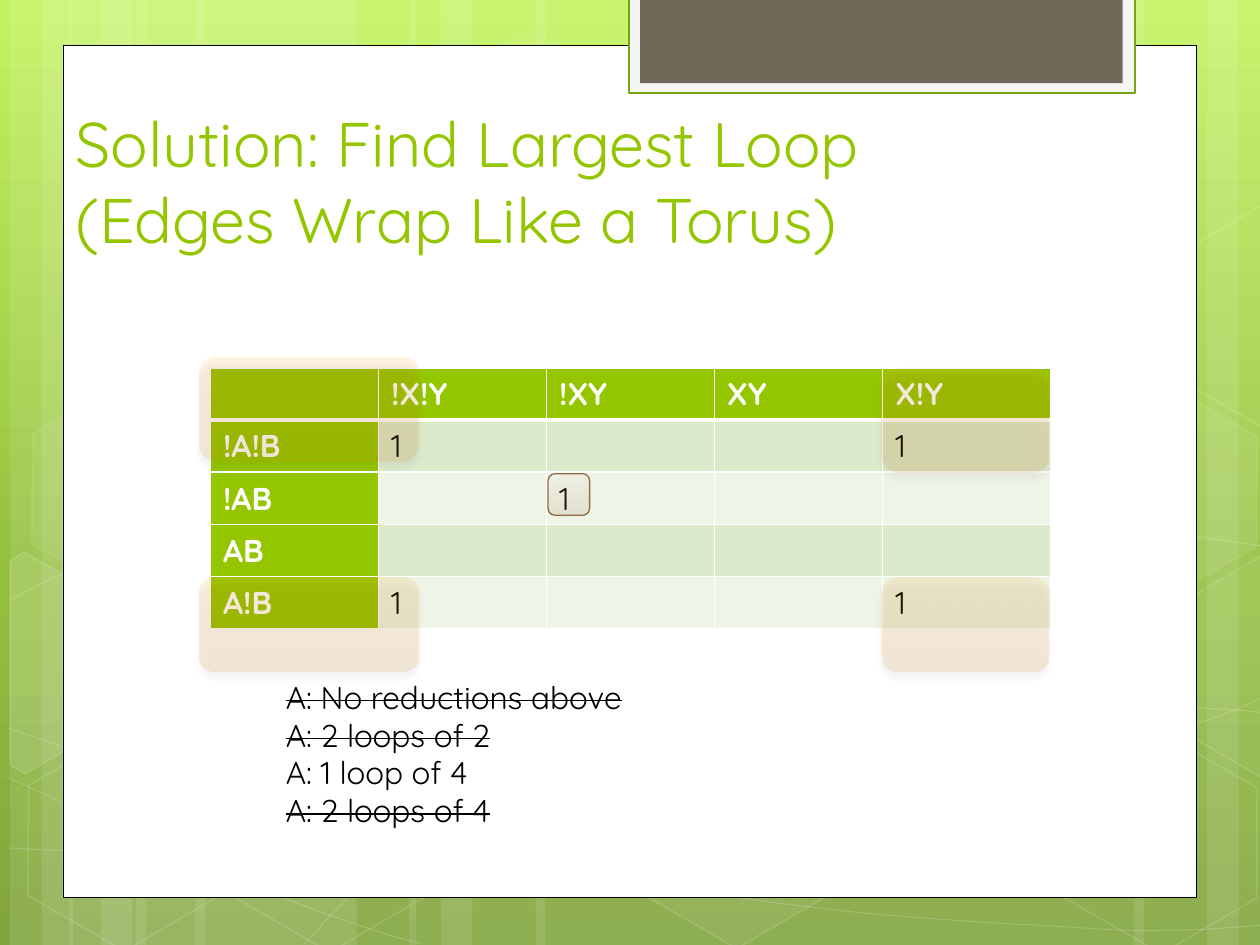
from math import cos, radians, sin

from lxml import etree
from pptx import Presentation
from pptx.dml.color import RGBColor
from pptx.enum.shapes import MSO_SHAPE
from pptx.enum.text import MSO_ANCHOR, MSO_AUTO_SIZE, PP_ALIGN
from pptx.oxml.ns import qn
from pptx.util import Inches, Pt

FONT = "Quicksand"
GREEN = "94C600"
WHITE = "FFFFFF"
BLACK = "000000"
TILT = 30

STRIPS = [(1.08, 1.75, 0), (0.08, 0.5, 0), (0.33, 0.83, 0), (1.55, 1.75, 0), (0.55, 0.5, 0),
          (0.8, 0.83, 0), (7.33, 1.75, 180), (9.58, 0.5, 180), (9, 0.83, 180),
          (4.25, 3.08, 0), (3.25, 0.5, 0), (3.5, 0.83, 0)]
WAVES = [
    [(0.07, 6.73), (0.61, 6.76), (1.15, 6.79), (1.9, 6.78), (2.65, 6.77), (3.58, 6.75), (4.58, 6.65),
     (5.58, 6.55), (7, 6.36), (7.92, 6.17), (8.83, 5.98), (9.77, 5.68), (10.07, 5.51)],
    [(0.07, 4.77), (0.36, 4.61), (0.65, 4.46), (1.21, 4.31), (1.78, 4.16), (2.59, 3.94), (3.47, 3.87),
     (4.36, 3.8), (5.44, 3.79), (6.54, 3.87), (7.64, 3.95), (9.47, 4.26), (10.07, 4.34)],
    [(0.06, 6.17), (1.27, 6.72), (2.47, 7.27), (3.34, 7.49)],
    [(0.07, 5.78), (0.38, 5.89), (0.7, 6), (1.28, 6.16), (1.86, 6.31), (2.73, 6.56), (3.57, 6.73),
     (4.4, 6.9), (5.45, 7.08), (6.28, 7.18), (7.11, 7.29), (8, 7.33), (8.53, 7.36),
     (9.05, 7.4), (9.19, 7.38), (9.45, 7.38), (9.71, 7.37), (9.89, 7.35), (10.07, 7.34)],
    [(2.42, 7.49), (2.6, 7.29), (2.78, 7.09), (3.02, 6.91), (3.26, 6.73), (3.6, 6.53), (3.88, 6.39),
     (4.16, 6.25), (4.33, 6.19), (4.7, 6.09), (5.06, 5.99), (5.73, 5.85), (6.08, 5.78),
     (6.44, 5.71), (6.49, 5.71), (6.8, 5.69), (7.11, 5.66), (7.6, 5.63), (7.94, 5.62),
     (8.29, 5.61), (8.86, 5.62), (8.86, 5.62), (9.08, 5.62), (9.31, 5.62), (9.53, 5.62),
     (9.71, 5.63), (9.88, 5.64), (9.97, 5.65), (10.06, 5.66), (10.03, 5.65), (10.06, 5.66)],
]
HEXAGONS = [(3.34, 0.36, 4, 8), (4.97, 5.89, 6, 12), (0.11, 5.91, 0, 12), (0.14, 3.12, 7, 8),
            (1.74, 5.92, 0, 12), (7.53, 4.53, 10, 12), (8.34, 5.93, 0, 12), (8.34, 3.14, 7, 8)]
CUT_HEXAGONS = [
    ((0.36, 5.35), 10,
     [(0.08, 4.45), (0.19, 4.38), (0.96, 4.82), (0.95, 5.7), (0.2, 6.14), (0.08, 6.07)]),
    ((9.85, 5.2), 4,
     [(9.26, 4.85), (10.01, 4.41), (10.09, 4.46), (10.09, 6.13), (10.02, 6.17), (9.26, 5.73)]),
    ((9.85, 2.41), 0,
     [(9.26, 2.07), (10.01, 1.63), (10.1, 1.68), (10.09, 3.35), (10.02, 3.39), (9.26, 2.95)]),
]
MAP_ROWS = [["", "!X!Y", "!XY", "XY", "X!Y"],
            ["!A!B", "1", "", "", "1"],
            ["!AB", "", "1", "", ""],
            ["AB", "", "", "", ""],
            ["A!B", "1", "", "", "1"]]
ANSWERS = [("A: No reductions above", True), ("A: 2 loops of 2", True),
           ("A: 1 loop of 4", False), ("A: 2 loops of 4", True)]
LOOPS = [(7, 2.92, 1.33, 0.83), (7, 4.58, 1.33, 0.75),
         (1.58, 4.58, 1.75, 0.75), (1.58, 2.83, 1.75, 0.83)]


def rgb(color):
    return RGBColor.from_string(color)


def add_color(parent, color, alpha=100):
    element = etree.SubElement(parent, qn("a:srgbClr"), val=color)
    if alpha < 100:
        etree.SubElement(element, qn("a:alpha"), val=str(alpha * 1000))


def paint(fill, parent, color, alpha=100):
    if alpha == 0:
        fill.background()
        return
    fill.solid()
    solid = parent.find(qn("a:solidFill"))
    solid.clear()
    add_color(solid, color, alpha)


def paint_gradient(fill, parent, stops, angle=90, alpha=100):
    fill.solid()
    gradient = etree.Element(qn("a:gradFill"), rotWithShape="1")
    stop_list = etree.SubElement(gradient, qn("a:gsLst"))
    for position, color in stops:
        stop = etree.SubElement(stop_list, qn("a:gs"), pos=str(position * 1000))
        add_color(stop, color, alpha)
    etree.SubElement(gradient, qn("a:lin"), ang=str(angle * 60000), scaled="0")
    parent.replace(parent.find(qn("a:solidFill")), gradient)


def style(shape, color=WHITE, alpha=100, line=None, width=1, line_alpha=100):
    shape.shadow.inherit = False
    properties = shape._element.spPr
    paint(shape.fill, properties, color, alpha)
    if line is None:
        shape.line.fill.background()
    else:
        shape.line.width = Pt(width)
        paint(shape.line.fill, properties.find(qn("a:ln")), line, line_alpha)


def add_box(slide, kind, box):
    return slide.shapes.add_shape(kind, *[Inches(length) for length in box])


def add_outline(slide, points, close):
    corners = [(Inches(x), Inches(y)) for x, y in points]
    builder = slide.shapes.build_freeform(*corners[0])
    builder.add_line_segments(corners[1:], close=close)
    return builder.convert_to_shape()


def add_wave(slide, controls):
    wave = add_outline(slide, controls, False)
    lines = list(wave._element.iter(qn("a:lnTo")))
    for start in range(0, len(lines), 3):
        curve = etree.Element(qn("a:cubicBezTo"))
        lines[start].addprevious(curve)
        for line in lines[start:start + 3]:
            curve.append(line[0])
            line.getparent().remove(line)
    return wave


def turn_back(point, center):
    x, y = point[0] - center[0], point[1] - center[1]
    angle = radians(TILT)
    return (center[0] + x * cos(angle) + y * sin(angle),
            center[1] - x * sin(angle) + y * cos(angle))


def draw_backdrop(slide, height):
    fill = slide.background.fill
    fill.solid()
    paint_gradient(fill, slide._element.find(".//" + qn("p:bgPr")),
                   [(0, "C3F35F"), (62, "93BF3F"), (100, "81A53E")])
    for left, width, rotation in STRIPS:
        strip = add_box(slide, MSO_SHAPE.RECTANGLE, (left, 0, width, height))
        strip.rotation = rotation
        style(strip, alpha=10)
    for controls in WAVES:
        style(add_wave(slide, controls), alpha=0, line=WHITE, width=0.5, line_alpha=20)
    for left, top, alpha, line_alpha in HEXAGONS:
        hexagon = add_box(slide, MSO_SHAPE.HEXAGON, (left, top, 1.75, 1.52))
        hexagon.adjustments[0] = 0.285
        hexagon.rotation = TILT
        style(hexagon, alpha=alpha, line=WHITE, line_alpha=line_alpha)
    for center, alpha, points in CUT_HEXAGONS:
        corners = [turn_back(point, center) for point in points]
        hexagon = add_outline(slide, corners + corners[:1], True)
        hexagon.rotation = TILT
        style(hexagon, alpha=alpha, line=WHITE, line_alpha=12)


def draw_panel(slide, box):
    style(add_box(slide, MSO_SHAPE.RECTANGLE, box), line=BLACK, width=0.5)
    style(add_box(slide, MSO_SHAPE.RECTANGLE, (4.99, -0.02, 4.02, 0.76)),
          "F5F5F5", line="74A510", width=1.25)
    style(add_box(slide, MSO_SHAPE.RECTANGLE, (5.08, -0.02, 3.83, 0.68)), "71685A")


def set_font(paragraph, size, color, bold=False):
    font = paragraph.font
    font.name, font.size, font.bold = FONT, Pt(size), bold
    font.color.rgb = rgb(color)


def place_title(slide, box):
    title = slide.shapes.title
    slide.shapes._spTree.append(title._element)
    title.left, title.top, title.width, title.height = [Inches(length) for length in box]
    frame = title.text_frame
    frame.text = "Solution: Find Largest Loop \v(Edges Wrap Like a Torus)"
    frame.auto_size = MSO_AUTO_SIZE.NONE
    frame.vertical_anchor = MSO_ANCHOR.BOTTOM
    frame.paragraphs[0].alignment = PP_ALIGN.LEFT
    set_font(frame.paragraphs[0], 36, GREEN)


def set_borders(cell, bottom):
    properties = cell._tc.get_or_add_tcPr()
    for side, width in (("lnL", 1), ("lnR", 1), ("lnT", 1), ("lnB", bottom)):
        border = etree.SubElement(properties, qn("a:" + side), w=str(Pt(width)))
        add_color(etree.SubElement(border, qn("a:solidFill")), WHITE)


def draw_map(slide, box):
    size = len(MAP_ROWS)
    table = slide.shapes.add_table(size, size, *[Inches(length) for length in box]).table
    for row, texts in enumerate(MAP_ROWS):
        for column, text in enumerate(texts):
            cell = table.cell(row, column)
            heading = row == 0 or column == 0
            set_borders(cell, 3 if row == 0 else 1)
            cell.fill.solid()
            cell.fill.fore_color.rgb = rgb(GREEN if heading else "DCEACC" if row % 2 else "EEF5E7")
            cell.text = text
            set_font(cell.text_frame.paragraphs[0], 18, WHITE if heading else BLACK, heading)


def draw_answers(slide, box):
    frame = slide.shapes.add_textbox(*[Inches(length) for length in box]).text_frame
    frame.word_wrap = True
    frame.auto_size = MSO_AUTO_SIZE.SHAPE_TO_FIT_TEXT
    for index, (text, struck) in enumerate(ANSWERS):
        paragraph = frame.add_paragraph() if index else frame.paragraphs[0]
        run = paragraph.add_run()
        run.text = text
        set_font(paragraph, 18, BLACK)
        if struck:
            run._r.get_or_add_rPr().set("strike", "sngStrike")


def draw_loop(slide, box):
    loop = add_box(slide, MSO_SHAPE.ROUNDED_RECTANGLE, box)
    style(loop)
    properties = loop._element.spPr
    paint_gradient(loop.fill, properties, [(0, "FEA022"), (100, "DB820A")], alpha=13)
    shadow = etree.SubElement(properties.find(qn("a:effectLst")), qn("a:outerShdw"),
                              blurRad=str(Pt(3.5)), dist=str(Pt(4)), dir="5400000", rotWithShape="0")
    add_color(shadow, BLACK, 34)


def draw_single(slide, box):
    single = add_box(slide, MSO_SHAPE.ROUNDED_RECTANGLE, box)
    style(single, line="956B43", width=0.75)
    paint_gradient(single.fill, single._element.spPr,
                   [(0, "EEE5E0"), (40, "D8B6A2"), (100, "996B3F")], angle=84, alpha=15)


def main():
    presentation = Presentation()
    presentation.slide_width, presentation.slide_height = Inches(10), Inches(7.5)
    slide = presentation.slides.add_slide(presentation.slide_layouts[5])
    draw_backdrop(slide, 7.5)
    draw_panel(slide, (0.5, 0.36, 9, 6.76))
    place_title(slide, (0.5, 0.83, 9.11, 1.25))
    draw_map(slide, (1.67, 2.92, 6.67, 2.03))
    draw_answers(slide, (2.17, 5.33, 5.08, 1.31))
    for box in LOOPS:
        draw_loop(slide, box)
    draw_single(slide, (4.35, 3.76, 0.33, 0.33))
    presentation.save("out.pptx")


if __name__ == "__main__":
    main()
